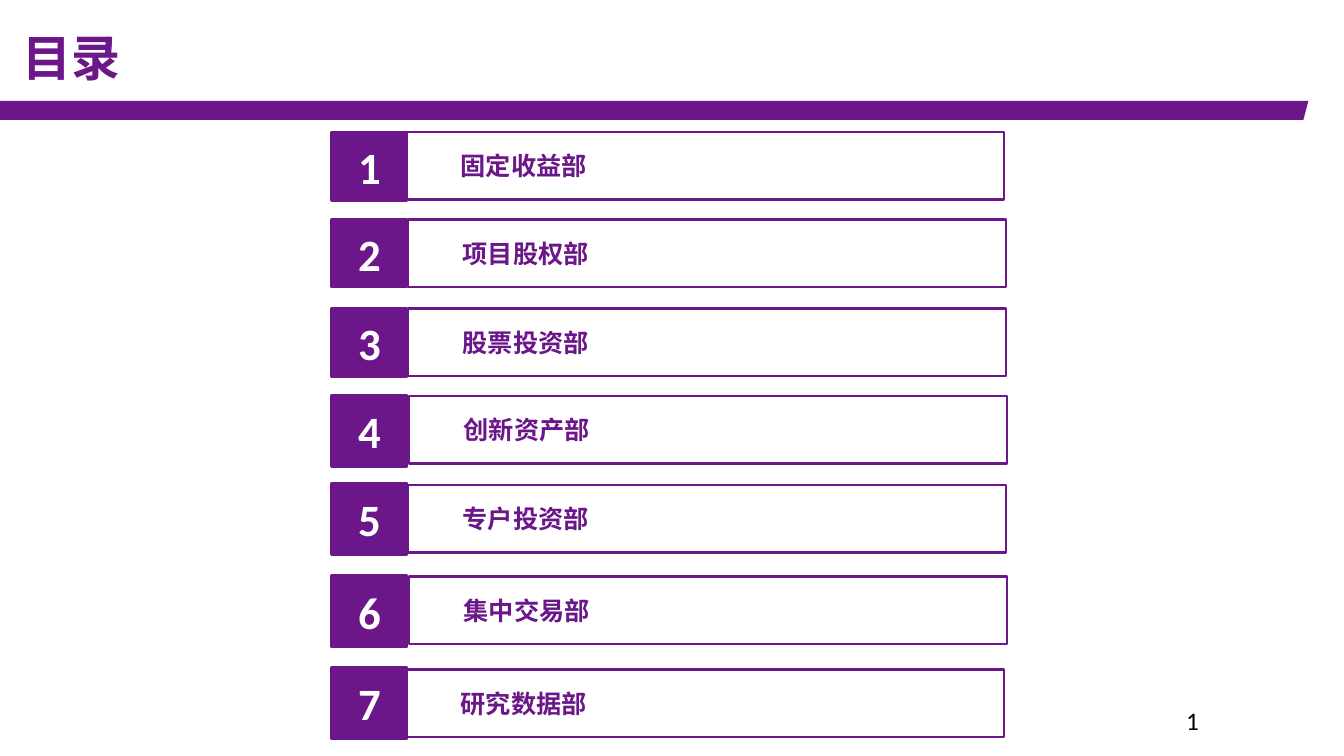
from pptx import Presentation
from pptx.dml.color import RGBColor
from pptx.enum.shapes import MSO_SHAPE as SHAPE
from pptx.enum.text import MSO_ANCHOR as ANCHOR, PP_ALIGN as ALIGN
from pptx.util import Inches, Pt

CELL = 0.1
COLS, ROWS = 133.33, 75
PURPLE, WHITE, BLACK = "6B1689", "FFFFFF", "000000"
CJK, LATIN = "Noto Sans CJK SC", "Calibri"
BADGE_W, BAR_W, BAR_H = 7.5, 59.3, 6.7
DEPARTMENTS = [
    ("固定收益部", 13.1, 40.3, 13.1, 6.8),
    ("项目股权部", 21.8, 40.5, 21.8, 6.7),
    ("股票投资部", 30.6, 40.5, 30.6, 6.8),
    ("创新资产部", 39.3, 40.6, 39.2, 7.1),
    ("专户投资部", 48.1, 40.5, 47.9, 7.1),
    ("集中交易部", 57.2, 40.6, 57.1, 7.1),
    ("研究数据部", 66.4, 40.3, 66.2, 7.1),
]


def grid(*cells):
    return [Inches(c * CELL) for c in cells]


def color(hex_string):
    return RGBColor.from_string(hex_string)


def paint(sp, fill, line=None):
    sp.shadow.inherit = False
    sp.fill.solid()
    sp.fill.fore_color.rgb = color(fill)
    if line:
        sp.line.color.rgb = color(line)
        sp.line.width = Pt(1.75)
    else:
        sp.line.fill.background()


def write(sp, text, size, font, ink, bold=True, align=ALIGN.LEFT, anchor=ANCHOR.MIDDLE):
    tf = sp.text_frame
    tf.word_wrap = True
    tf.vertical_anchor = anchor
    p = tf.paragraphs[0]
    p.text = text
    p.alignment = align
    p.font.size = Pt(size)
    p.font.name = font
    p.font.bold = bold
    p.font.color.rgb = color(ink)
    if font == CJK:
        r = p.runs[0]
        rPr = r.font._element
        ea = rPr.makeelement(
            "{http://schemas.openxmlformats.org/drawingml/2006/main}ea", {"typeface": font})
        rPr.append(ea)
    return p


def add_text(s, box, *args, **kwargs):
    return write(s.shapes.add_textbox(*grid(*box)), *args, **kwargs)


def add_box(s, box, fill):
    sp = s.shapes.add_shape(SHAPE.RECTANGLE, *grid(*box))
    paint(sp, fill, PURPLE)
    return sp


def add_header_band(s):
    corners = [grid(*c) for c in [(0, 10), (129.8, 10), (129.3, 11.9), (0, 11.9)]]
    fb = s.shapes.build_freeform(*corners[0], scale=1.0)
    fb.add_line_segments(corners[1:], close=True)
    paint(fb.convert_to_shape(), PURPLE)


def add_department(s, number, name, bar_top, bar_left, badge_top, badge_h):
    bar = add_box(s, (bar_left, bar_top, BAR_W, BAR_H), WHITE)
    write(bar, name, 18, CJK, PURPLE)
    tf = bar.text_frame
    tf.margin_left = Inches(0.54)
    tf.margin_right = tf.margin_top = tf.margin_bottom = Inches(0.06)
    badge = add_box(s, (32.9, badge_top, BADGE_W, badge_h), PURPLE)
    write(badge, str(number), 32, LATIN, WHITE, align=ALIGN.CENTER)


def main():
    prs = Presentation()
    prs.slide_width, prs.slide_height = grid(COLS, ROWS)
    s = prs.slides.add_slide(prs.slide_layouts[6])
    add_header_band(s)
    title = add_text(s, (1.2, 2.7, 128.5, 6.6), "目录", 35, CJK, PURPLE)
    title.line_spacing = 0.9
    title.space_before = Pt(10)
    for number, department in enumerate(DEPARTMENTS, 1):
        add_department(s, number, *department)
    add_text(s, (116.7, 69.5, 30, 4), "1", 18, LATIN, BLACK, bold=False, anchor=ANCHOR.TOP)
    prs.save("out.pptx")


main()
